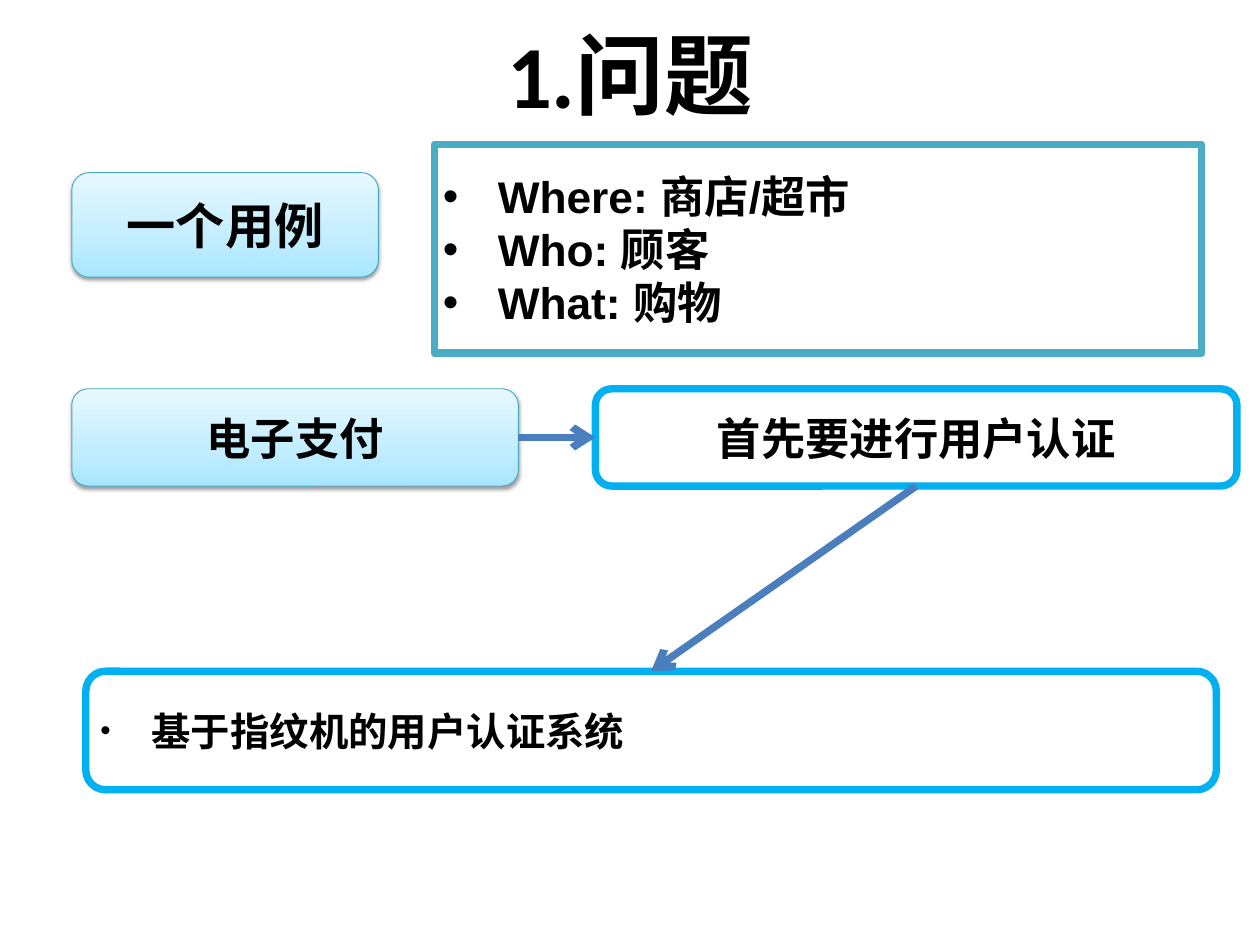
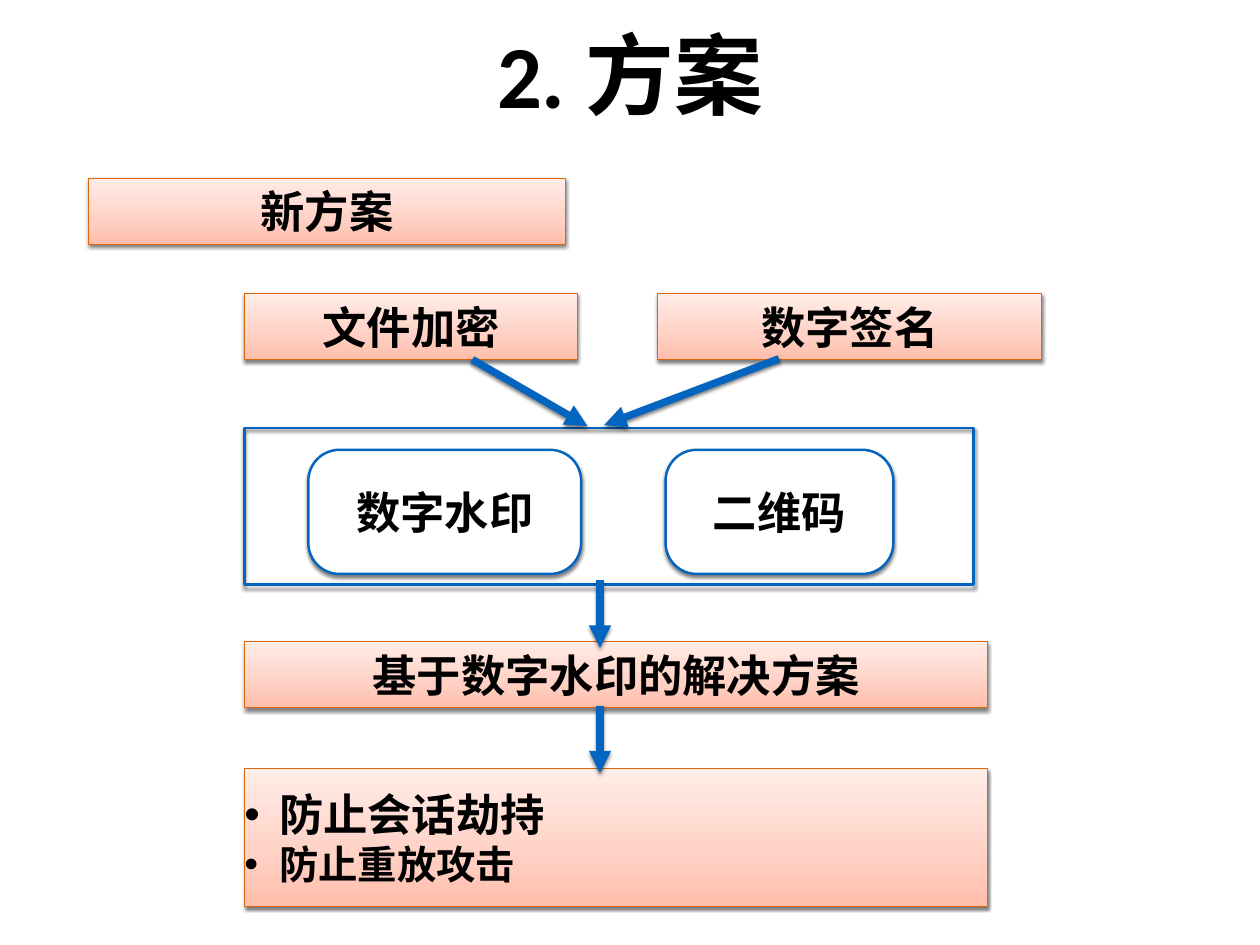
from copy import deepcopy

from lxml import etree
from pptx import Presentation
from pptx.dml.color import RGBColor
from pptx.enum import shapes, text
from pptx.oxml.ns import qn
from pptx.util import Cm, Pt

BLACK, WHITE = "000000", "FFFFFF"
TEAL, SKY, STEEL = "4BACC6", "00B0F0", "4B7EBC"
BLUE, ORANGE = "0365C0", "DE670B"
# Gradients run from bottom to top
ICE = ["A7E6FF", "C1EDFF", "E7F8FF"]
PEACH = ["FFBDAA", "FFD0C3", "FFEDE8"]
GRADIENT_POSITIONS = [0, 0.35, 1]
# Shadows: opacity in percent, blur and distance in points
SOFT_SHADOW = (38, 3.1, 1.6)
DEEP_SHADOW = (50, 3, 2)
RECT = shapes.MSO_SHAPE.RECTANGLE
ROUNDED = shapes.MSO_SHAPE.ROUNDED_RECTANGLE
STRAIGHT = shapes.MSO_CONNECTOR.STRAIGHT
TOP, LEFT, BOTTOM, RIGHT = range(4)


def paint(item, line, width, fill=None, shadow=None, head=None):
    """Set line, fill, shadow and arrowhead of a shape or connector; a list as fill is a gradient."""
    item.line.color.rgb = RGBColor.from_string(line)
    item.line.width = Pt(width)
    properties = item._element.spPr
    if isinstance(fill, list):
        item.fill.gradient()
        item.fill.gradient_angle = 90
        first_stop = properties.find(".//" + qn("a:gs"))
        first_stop.addnext(deepcopy(first_stop))
        for stop, colour, position in zip(item.fill.gradient_stops, fill, GRADIENT_POSITIONS):
            stop.color.rgb = RGBColor.from_string(colour)
            stop.position = position
    elif fill:
        item.fill.solid()
        item.fill.fore_color.rgb = RGBColor.from_string(fill)
    if head:
        etree.SubElement(properties.find(qn("a:ln")), qn("a:tailEnd"), type=head)
    effects = etree.SubElement(properties, qn("a:effectLst"))
    if shadow:
        opacity, blur, distance = shadow
        outer = etree.SubElement(effects, qn("a:outerShdw"), blurRad=str(Pt(blur)),
                                 dist=str(Pt(distance)), dir="5400000", rotWithShape="0")
        colour = etree.SubElement(outer, qn("a:srgbClr"), val=BLACK)
        etree.SubElement(colour, qn("a:alpha"), val=str(opacity * 1000))


def write(shape, lines, font="Arial", inset=None, indent=None, bullet_size=100):
    """Fill a shape with (text, size) lines: bulleted if an indent is given, else centred."""
    frame = shape.text_frame
    frame.word_wrap = True
    frame.vertical_anchor = text.MSO_ANCHOR.MIDDLE
    if inset is not None:
        frame.margin_left = frame.margin_right = Cm(inset[0])
        frame.margin_top = frame.margin_bottom = Cm(inset[1])
    for number, (wording, size) in enumerate(lines):
        paragraph = frame.add_paragraph() if number else frame.paragraphs[0]
        paragraph.alignment = text.PP_ALIGN.LEFT if indent else text.PP_ALIGN.CENTER
        if indent:
            layout = paragraph._p.get_or_add_pPr()
            layout.set("marL", str(Cm(indent)))
            layout.set("indent", str(-Cm(indent)))
            etree.SubElement(layout, qn("a:buSzPct"), val=str(bullet_size * 1000))
            etree.SubElement(layout, qn("a:buFont"), typeface="Arial")
            etree.SubElement(layout, qn("a:buChar"), char="•")
        run = paragraph.add_run()
        run.text = wording
        run.font.name = font
        run.font.size = Pt(size)
        run.font.bold = True
        run.font.color.rgb = RGBColor.from_string(BLACK)


deck = Presentation()
deck.slide_width, deck.slide_height = Cm(36.12), Cm(27.1)
slides = []
for heading in ["1.问题", "2. 方案"]:
    slide = deck.slides.add_slide(deck.slide_layouts[6])
    title = slide.shapes.add_textbox(Cm(2.64), Cm(0.08), Cm(30.84), Cm(4.06))
    write(title, [(heading, 72)], "Calibri", (0.36, 0.18))
    slides.append(slide)
problem, solution = [slide.shapes for slide in slides]

# Slide 1: the problem
use_case = problem.add_shape(ROUNDED, Cm(2.06), Cm(4.95), Cm(8.79), Cm(3))
write(use_case, [("一个用例", 40)], "Calibri")

scenario = problem.add_shape(RECT, Cm(12.45), Cm(4.14), Cm(22), Cm(5.99))
paint(scenario, TEAL, 6, WHITE)
write(scenario, [("Where: 商店/超市", 36), ("Who: 顾客", 36), ("What: 购物", 36)], indent=1.57)

payment = problem.add_shape(ROUNDED, Cm(2.06), Cm(11.15), Cm(12.8), Cm(2.79))
write(payment, [("电子支付", 36)], "Calibri")
for step in (use_case, payment):
    paint(step, "46AAC5", 0.75, ICE, SOFT_SHADOW)

authentication = problem.add_shape(ROUNDED, Cm(17.07), Cm(11.15), Cm(18.39), Cm(2.79))
write(authentication, [("首先要进行用户认证", 36)])

fingerprint = problem.add_shape(ROUNDED, Cm(2.46), Cm(19.25), Cm(32.41), Cm(3.4))
write(fingerprint, [("基于指纹机的用户认证系统", 32)], indent=1.47, bullet_size=75)
for need in (authentication, fingerprint):
    paint(need, SKY, 6, WHITE)

for source, source_side, target, target_side in [
    (payment, RIGHT, authentication, LEFT),
    (authentication, BOTTOM, fingerprint, TOP),
]:
    arrow = problem.add_connector(STRAIGHT, 0, 0, 0, 0)
    arrow.begin_connect(source, source_side)
    arrow.end_connect(target, target_side)
    paint(arrow, STEEL, 6, head="arrow")

# Slide 2: the solution
MAIN_LEFT, MAIN_WIDTH, BAR_HEIGHT = 7.01, 21.31, 1.9
for left, top, width, wording in [
    (2.54, 5.11, 13.67, "新方案"),
    (MAIN_LEFT, 8.41, 9.55, "文件加密"),
    (18.85, 8.41, 11.02, "数字签名"),
    (MAIN_LEFT, 18.39, MAIN_WIDTH, "基于数字水印的解决方案"),
]:
    bar = solution.add_shape(RECT, Cm(left), Cm(top), Cm(width), Cm(BAR_HEIGHT))
    paint(bar, ORANGE, 0.75, PEACH, DEEP_SHADOW)
    write(bar, [(wording, 36)], inset=(0, 0))

for left, width, wording in [(8.84, 7.82, "数字水印"), (19.08, 6.53, "二维码")]:
    technique = solution.add_shape(ROUNDED, Cm(left), Cm(12.9), Cm(width), Cm(3.56))
    technique.adjustments[0] = 0.25
    paint(technique, BLUE, 2, WHITE, DEEP_SHADOW)
    write(technique, [(wording, 36)], inset=(0, 0))

technique_frame = solution.add_shape(RECT, Cm(MAIN_LEFT), Cm(12.27), Cm(20.9), Cm(4.5))
technique_frame.fill.background()
paint(technique_frame, BLUE, 2, shadow=DEEP_SHADOW)

benefits = solution.add_shape(RECT, Cm(MAIN_LEFT), Cm(22.05), Cm(MAIN_WIDTH), Cm(3.94))
paint(benefits, ORANGE, 0.75, PEACH, DEEP_SHADOW)
write(benefits, [("防止会话劫持", 36), ("防止重放攻击", 32)], inset=(0, 0), indent=0.99)

for ends in [
    (13.54, 10.31, 16.84, 12.22),
    (22.33, 10.29, 17.32, 12.19),
    (17.2, 16.64, 17.2, 18.57),
    (17.2, 20.24, 17.2, 22.17),
]:
    arrow = solution.add_connector(STRAIGHT, *map(Cm, ends))
    paint(arrow, BLUE, 6, shadow=DEEP_SHADOW, head="triangle")

deck.save("out.pptx")
